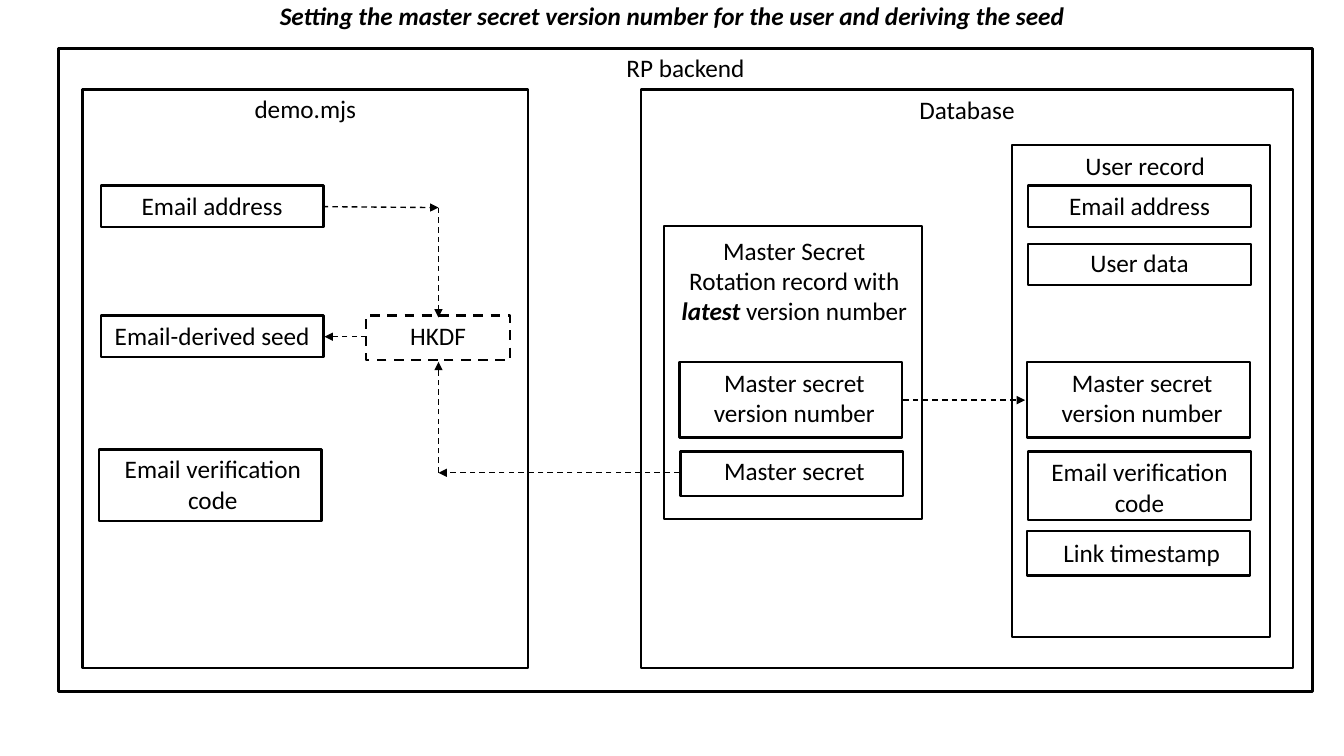
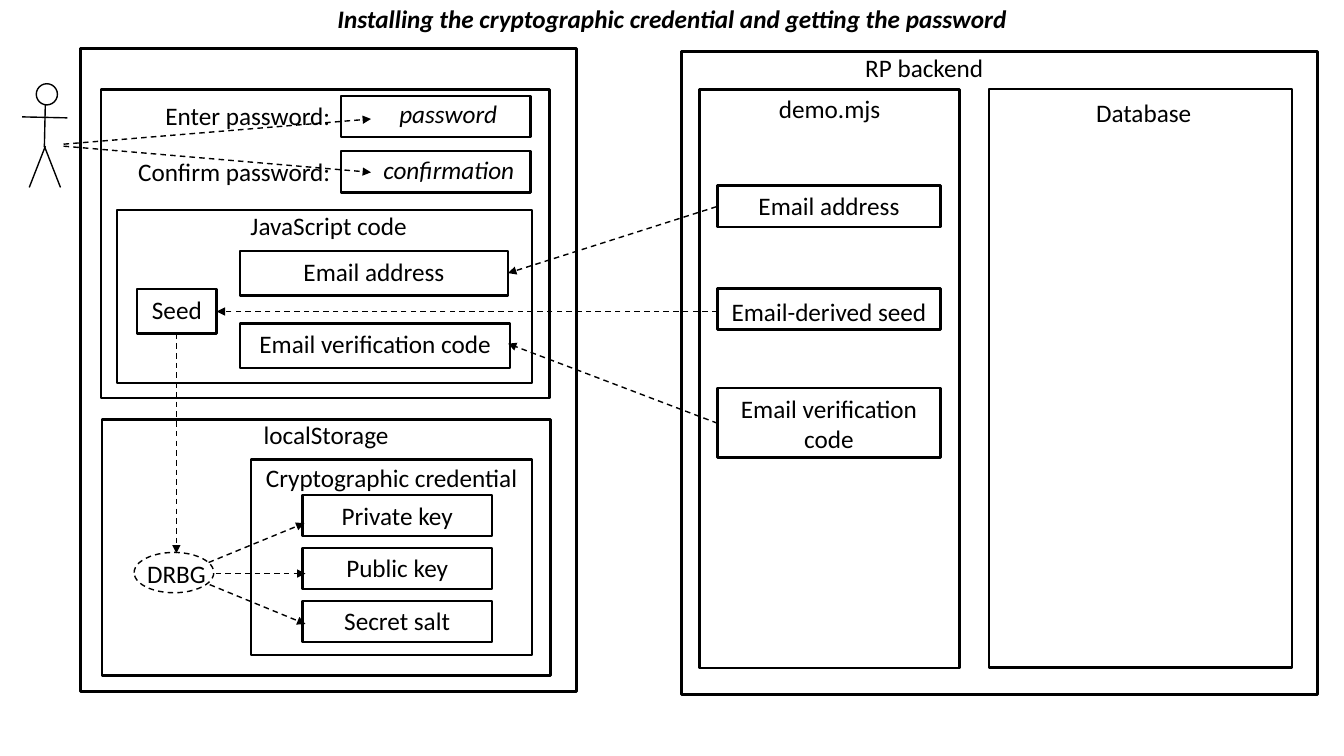
from lxml.etree import SubElement
from pptx import Presentation
from pptx.dml.color import RGBColor
from pptx.enum.dml import MSO_LINE
from pptx.enum.shapes import MSO_CONNECTOR, MSO_SHAPE
from pptx.enum.text import MSO_ANCHOR, PP_ALIGN
from pptx.oxml.ns import qn
from pptx.util import Pt


class Diagram:
    """Draws labelled boxes and dashed arrows on the current slide."""

    COLORS = {"ink": "000000", "paper": "FFFFFF"}
    FONT = "Calibri"
    SIZE = 18
    BOX_LINE = 1.75
    THIN_LINE = 1
    INSET_X = 7.2
    INSET_Y = 3.6

    def __init__(self):
        self.deck = Presentation()
        self.deck.slide_width, self.deck.slide_height = Pt(960), Pt(540)

    def color(self, name):
        return RGBColor.from_string(self.COLORS[name])

    def new_page(self, title, top):
        self.page = self.deck.slides.add_slide(self.deck.slide_layouts[6])
        self.shapes = self.page.shapes
        heading = self.label(title, 66.2, top, 828, 38.2, bold=True, italic=True)
        heading.text_frame.vertical_anchor = MSO_ANCHOR.MIDDLE
        heading.text_frame.paragraphs[0].line_spacing = 0.9

    def fill_text(self, shape, text, align=PP_ALIGN.CENTER, bold=False, italic=False):
        frame = shape.text_frame
        frame.word_wrap = True
        frame.vertical_anchor = MSO_ANCHOR.TOP
        paragraph = frame.paragraphs[0]
        paragraph.alignment = align
        font = paragraph.font
        font.name, font.size = self.FONT, Pt(self.SIZE)
        font.bold, font.italic = bold, italic
        font.color.rgb = self.color("ink")
        for index, part in enumerate(text.split("*")):
            span = paragraph.add_run()
            span.text = part
            if index % 2:
                span.font.bold = span.font.italic = True

    def label(self, text, left, top, width, height=28.8, **style):
        box = self.shapes.add_textbox(Pt(left), Pt(top), Pt(width), Pt(height))
        self.fill_text(box, text, **style)
        return box

    def stroke(self, line, weight, dashed):
        line.color.rgb = self.color("ink")
        line.width = Pt(weight)
        if dashed:
            line.dash_style = MSO_LINE.DASH

    def outline(self, kind, left, top, width, height, weight, dashed=False, fill=None):
        shape = self.shapes.add_shape(kind, Pt(left), Pt(top), Pt(width), Pt(height))
        shape.shadow.inherit = False
        if fill:
            shape.fill.solid()
            shape.fill.fore_color.rgb = self.color(fill)
        else:
            shape.fill.background()
        self.stroke(shape.line, weight, dashed)
        return shape

    def box(self, text, left, top, width=159.1, height=29.5, right=0, down=0, dashed=False):
        shape = self.outline(MSO_SHAPE.RECTANGLE, left, top, width, height, self.BOX_LINE, dashed)
        if text:
            self.fill_text(shape, text)
            shape.text_frame.margin_left = Pt(self.INSET_X + 2 * right)
            shape.text_frame.margin_top = Pt(self.INSET_Y + down)

    def ellipse(self, left, top, width, height, **style):
        self.outline(MSO_SHAPE.OVAL, left, top, width, height, self.THIN_LINE, **style)

    def line(self, x1, y1, x2, y2, dashed=False):
        connector = self.shapes.add_connector(MSO_CONNECTOR.STRAIGHT, Pt(x1), Pt(y1), Pt(x2), Pt(y2))
        self.stroke(connector.line, self.THIN_LINE, dashed)
        SubElement(connector.element.spPr, qn("a:effectLst"))
        return connector

    def arrow(self, x1, y1, x2, y2):
        connector = self.line(x1, y1, x2, y2, dashed=True)
        SubElement(connector.element.spPr.find(qn("a:ln")), qn("a:tailEnd"), type="triangle")

    def stick_figure(self):
        self.shapes = self.page.shapes.add_group_shape().shapes
        self.line(32.4, 72.7, 31.7, 105.1)
        self.line(32.4, 104.4, 20.9, 133.9)
        self.line(31.7, 104.4, 43.2, 133.9)
        self.line(15.8, 83.5, 48.2, 84.2)
        self.ellipse(25.9, 59.8, 15.1, 15.1, fill="paper")
        self.shapes = self.page.shapes


def draw_seed_derivation(diagram):
    diagram.new_page("Setting the master secret version number for the user and deriving the seed", -6.5)
    diagram.box("RP backend", 41.8, 34.6, 895.7, 459.4, down=-0.7)
    diagram.box("demo.mjs", 59, 64.1, 318.2, 413.3, down=-0.7)
    diagram.box("Database", 457.9, 64.1, 465.8, 413.3)
    diagram.box("User record", 722.9, 103.7, 184.3, 351.4, right=2.9)
    diagram.box("", 474.5, 161.3, 184.3, 209.5)
    diagram.label("Master Secret Rotation record with *latest* version number", 478.1, 164.2, 178.6, 72.7)

    diagram.box("Email address", 72, 132.5)
    diagram.box("Email-derived seed", 72, 225.4)
    diagram.box("Email verification code", 70.6, 321.1, height=51.1, right=1.8, down=-0.7)
    diagram.box("HKDF", 261.4, 225.4, 103, 31.7, dashed=True)

    diagram.box("Email address", 734.4, 132.5)
    diagram.box("User data", 734.4, 174.2, down=-1.4)
    for left in (485.3, 733.7):
        diagram.box("Master secret version number", left, 258.5, height=54, right=2.5)
    diagram.box("Master secret", 486, 322.6, height=31.7, right=1.8, down=-0.7)
    diagram.box("Email verification code", 734.4, 322.6, height=49)
    diagram.box("Link timestamp", 733.7, 379.4, height=31.7, right=2.2, down=0.7)

    hkdf_x = 313.2
    for ends in (
        (230.4, 147.6, hkdf_x, 148.3),
        (hkdf_x, 148.3, hkdf_x, 226.8),
        (485.3, 337.7, hkdf_x, 337.7),
        (hkdf_x, 337.7, hkdf_x, 258.5),
        (262.1, 240.5, 231.8, 240.5),
        (645.1, 285.8, 732.2, 285.8),
    ):
        diagram.arrow(*ends)


def draw_credential_installation(diagram):
    diagram.new_page("Installing the cryptographic credential and getting the password", -4.3)
    diagram.box("", 486.7, 36.7, 454.3, 459.4)
    diagram.label("RP backend", 383, 33.8, 554.4)
    diagram.box("demo.mjs", 499.7, 64.1, 185.8, 413.3, down=-0.7)
    diagram.box("Database", 706.3, 63.4, 216.7, 413.3, right=2.2, down=2.2)
    diagram.box("Email address", 512.6, 132.5)
    diagram.box("Email-derived seed", 512.6, 205.9, down=2.2)
    diagram.box("Email verification code", 512.6, 277.2, height=49.7)

    diagram.box("", 57.6, 34.6, 354.2, 459.4)
    diagram.box("", 72, 64.1, 320.4, 220.3)
    for prompt, entry, top, left, width in (
        ("Enter password:", "password", 68.4, 270, 92.2),
        ("Confirm password:", "confirmation", 108, 255.6, 118.8),
    ):
        diagram.box("", 243.4, top, 135.4)
        diagram.label(prompt, 90.4, top, 152.6, align=PP_ALIGN.RIGHT)
        diagram.label(entry, left, top - 1.4, width, align=PP_ALIGN.RIGHT, italic=True)

    diagram.box("JavaScript code", 83.5, 149.8, 296.6, 123.8, right=2.9, down=-2.9)
    diagram.box("Email address", 171.4, 179.3, 191.5, 31.7)
    diagram.box("Email verification code", 171.4, 231.1, 193, 31.7)
    diagram.box("Seed", 97.9, 206.6, 56.9, 31.7)

    diagram.box("localStorage", 72.7, 299.5, 320.4, 182.9, down=-3.6)
    diagram.box("Cryptographic credential", 179.3, 328.3, 200.9, 139.7, down=-1.4)
    for index, name in enumerate(("Private key", "Public key", "Secret salt")):
        diagram.box(name, 216, 353.5 + 37.8 * index, 135.4)
    diagram.ellipse(95.8, 394.6, 56.9, 28.8, dashed=True)
    diagram.label("DRBG", 95.8, 395.3, 60.5)

    diagram.stick_figure()
    for ends in (
        (45.4, 103, 265, 85),
        (45.4, 104.4, 265, 123.1),
        (511.9, 147.6, 362.9, 195.1),
        (512.6, 222.5, 154.8, 222.5),
        (512.6, 302.4, 362.9, 245.5),
        (126, 238.3, 126, 395.3),
        (149, 401.8, 217.4, 373.7),
        (154.1, 409.7, 218.2, 409.7),
        (149.8, 417.6, 218.2, 445.7),
    ):
        diagram.arrow(*ends)


diagram = Diagram()
draw_seed_derivation(diagram)
draw_credential_installation(diagram)
diagram.deck.save("out.pptx")
